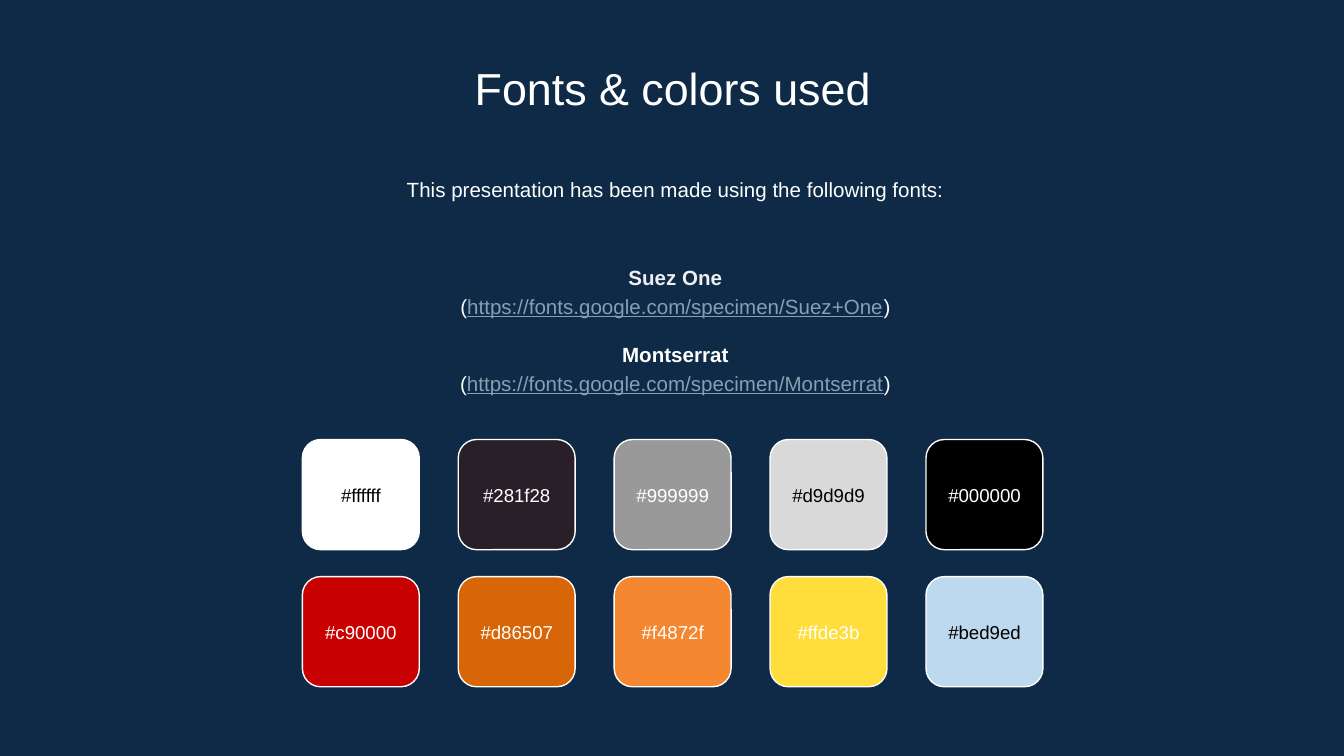
from pptx import Presentation
from pptx.dml.color import RGBColor
from pptx.enum.shapes import MSO_SHAPE
from pptx.enum.text import MSO_ANCHOR, PP_ALIGN
from pptx.util import Inches, Pt

FONT = "Arial"
WHITE = "FFFFFF"
BLACK = "000000"
NAVY = "0E2A47"
LINK = "869FB2"
PALE = "EFEFEF"

COLUMN_START, COLUMN_STEP = 2.25, 1.16
ROW_START, ROW_STEP = 3.27, 1.02
SWATCH_WIDTH, SWATCH_HEIGHT = 0.87, 0.82
LABEL_HEIGHT = 0.48

SWATCHES = [
    [("ffffff", BLACK), ("281f28", WHITE), ("999999", WHITE), ("d9d9d9", BLACK), ("000000", WHITE)],
    [("c90000", WHITE), ("d86507", WHITE), ("f4872f", WHITE), ("ffde3b", WHITE), ("bed9ed", BLACK)],
]

FONT_SOURCES = [
    ("Suez One", PALE, "https://fonts.google.com/specimen/Suez+One"),
    ("Montserrat", WHITE, "https://fonts.google.com/specimen/Montserrat"),
]


def color(value):
    return RGBColor.from_string(value.upper())


def format_frame(frame, anchor):
    frame.word_wrap = True
    frame.vertical_anchor = anchor
    frame.margin_left = frame.margin_right = Inches(0.1)
    frame.margin_top = frame.margin_bottom = Inches(0.1)


def format_para(para, size, hue, bold=False, spacing=1.0):
    para.alignment = PP_ALIGN.CENTER
    para.line_spacing = spacing
    para.font.name = FONT
    para.font.size = Pt(size)
    para.font.bold = bold
    para.font.color.rgb = color(hue)


def add_box(page, left, top, width, height, anchor=MSO_ANCHOR.MIDDLE):
    box = page.shapes.add_textbox(Inches(left), Inches(top), Inches(width), Inches(height))
    format_frame(box.text_frame, anchor)
    return box.text_frame


def set_title(page, text):
    title = page.shapes.title
    title.left, title.top = Inches(1.15), Inches(0.35)
    title.width, title.height = Inches(7.71), Inches(0.53)
    format_frame(title.text_frame, MSO_ANCHOR.TOP)
    title.text_frame.text = text
    format_para(title.text_frame.paragraphs[0], 24, WHITE)


def add_intro(page, text):
    frame = add_box(page, 1.17, 1.19, 7.71, 0.48, MSO_ANCHOR.TOP)
    frame.text = text
    format_para(frame.paragraphs[0], 11, WHITE, spacing=1.15)


def add_font_sources(page):
    frame = add_box(page, 1.17, 1.76, 7.71, 1.37)
    for index, (name, hue, address) in enumerate(FONT_SOURCES):
        heading = frame.add_paragraph() if index else frame.paragraphs[0]
        heading.text = name
        format_para(heading, 11, hue, bold=True, spacing=1.15)
        if index:
            heading.space_before = Pt(11)
        source = frame.add_paragraph()
        format_para(source, 11, WHITE, spacing=1.15)
        for text in ("(", address, ")"):
            span = source.add_run()
            span.text = text
            if text == address:
                span.font.underline = True
                span.font.color.rgb = color(LINK)


def add_swatch(page, column, row, fill, ink):
    left = COLUMN_START + column * COLUMN_STEP
    top = ROW_START + row * ROW_STEP
    swatch = page.shapes.add_shape(
        MSO_SHAPE.ROUNDED_RECTANGLE,
        Inches(left), Inches(top), Inches(SWATCH_WIDTH), Inches(SWATCH_HEIGHT),
    )
    swatch.shadow.inherit = False
    swatch.fill.solid()
    swatch.fill.fore_color.rgb = color(fill)
    swatch.line.color.rgb = color(WHITE)
    swatch.line.width = Pt(0.75)
    label_top = top + (SWATCH_HEIGHT - LABEL_HEIGHT) / 2
    label = add_box(page, left, label_top, SWATCH_WIDTH, LABEL_HEIGHT)
    label.text = f"#{fill}"
    format_para(label.paragraphs[0], 10, ink)


def main():
    deck = Presentation()
    deck.slide_width = Inches(10)
    deck.slide_height = deck.slide_width * 9 // 16
    page = deck.slides.add_slide(deck.slide_layouts[5])
    page.background.fill.solid()
    page.background.fill.fore_color.rgb = color(NAVY)
    set_title(page, "Fonts & colors used")
    add_intro(page, "This presentation has been made using the following fonts:")
    add_font_sources(page)
    for row, swatches in enumerate(SWATCHES):
        for column, (fill, ink) in enumerate(swatches):
            add_swatch(page, column, row, fill, ink)
    deck.save("out.pptx")


if __name__ == "__main__":
    main()
